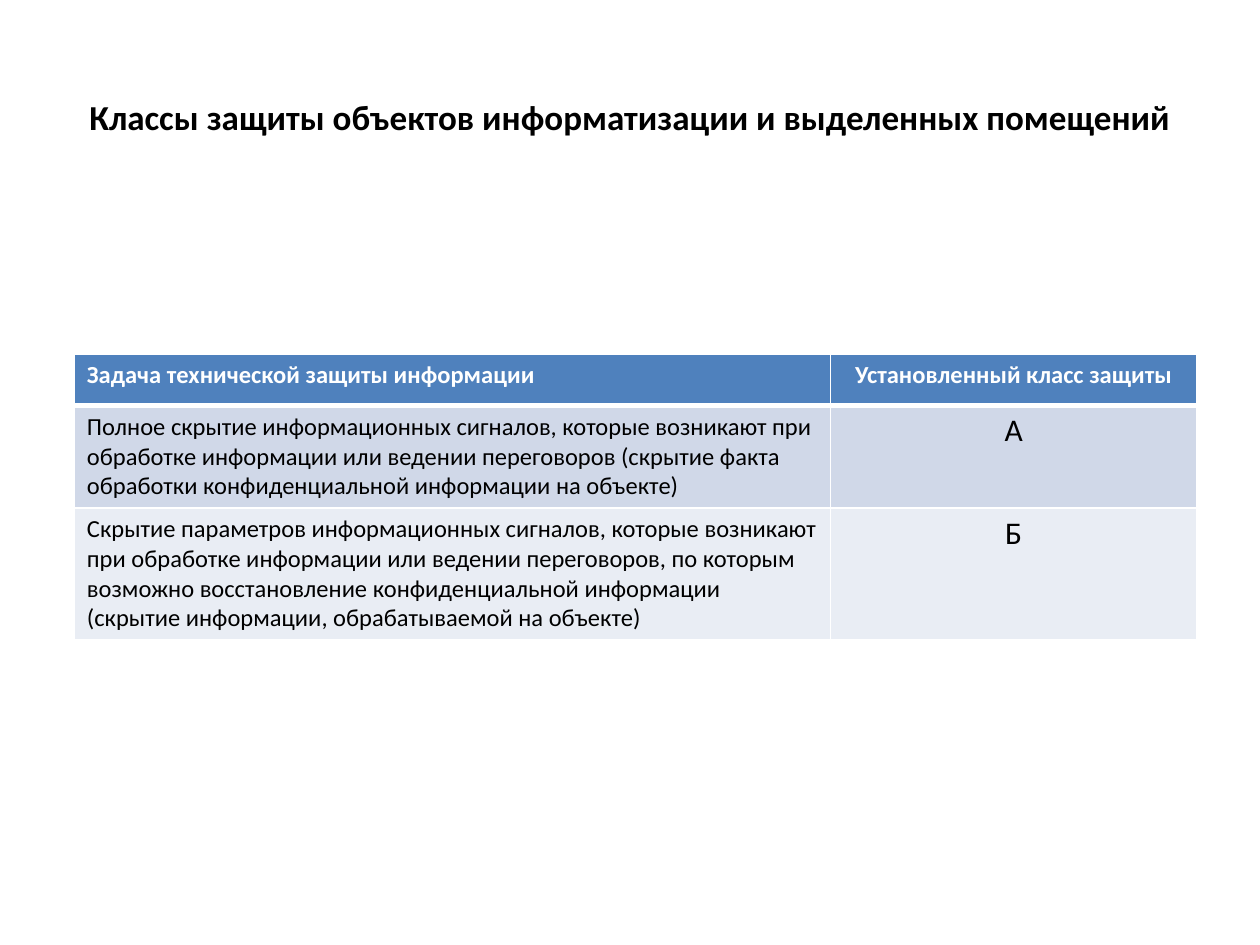
from dataclasses import dataclass

from lxml import etree
from pptx import Presentation
from pptx import util as u
from pptx.dml.color import RGBColor
from pptx.enum import text
from pptx.oxml.ns import qn


@dataclass(frozen=True)
class Theme:
    font: str = "Calibri"
    dark: str = "000000"
    light: str = "FFFFFF"
    head: str = "4F81BD"
    bands: tuple = ("D0D8E8", "E9EDF4")
    title: int = 20
    body: int = 14
    grade: int = 18


@dataclass(frozen=True)
class Row:
    task: str
    grade: str


THEME = Theme()
LEFT, CENTER = text.PP_ALIGN.LEFT, text.PP_ALIGN.CENTER
HEAD = Row("Задача технической защиты информации", "Установленный класс защиты")
ROWS = (
    Row("Полное скрытие информационных сигналов, которые возникают при "
        "обработке информации или ведении переговоров (скрытие факта "
        "обработки конфиденциальной информации на объекте)", "А"),
    Row("Скрытие параметров информационных сигналов, которые возникают "
        "при обработке информации или ведении переговоров, по которым "
        "возможно восстановление конфиденциальной информации "
        "(скрытие информации, обрабатываемой на объекте)", "Б"),
)
WIDTHS = (6, 2.91)
HEIGHT = 0.41


def write(frame, words: str, size: int, color: str, bold: bool, align) -> None:
    para = frame.paragraphs[0]
    para.alignment = align
    run = para.add_run()
    run.text = words
    font = run.font
    font.name, font.size, font.bold = THEME.font, u.Pt(size), bold
    font.color.rgb = RGBColor.from_string(color)


def edge(cell, side: str, width: float) -> None:
    """Draw one cell border; side is L, R, T or B, in that order."""
    props = cell._tc.get_or_add_tcPr()
    line = etree.SubElement(props, qn(f"a:ln{side}"), w=str(u.Pt(width)))
    fill = etree.SubElement(line, qn("a:solidFill"))
    etree.SubElement(fill, qn("a:srgbClr"), val=THEME.light)


def paint(cell, fill: str, top: float, base: float) -> None:
    """Set the borders, then the fill, as the schema orders them."""
    for side, width in zip("LRTB", (1, 1, top, base)):
        edge(cell, side, width)
    cell.fill.solid()
    cell.fill.fore_color.rgb = RGBColor.from_string(fill)


def add_grid(slide) -> None:
    count = len(ROWS) + 1
    grid = slide.shapes.add_table(
        count, len(WIDTHS), u.Inches(0.59), u.Inches(2.81),
        u.Inches(sum(WIDTHS)), u.Inches(HEIGHT * count)).table
    for col, width in zip(grid.columns, WIDTHS):
        col.width = u.Inches(width)
    for index, row in enumerate((HEAD, *ROWS)):
        grid.rows[index].height = u.Inches(HEIGHT)
        first = index == 0
        fill = THEME.head if first else THEME.bands[(index - 1) % 2]
        color = THEME.light if first else THEME.dark
        grade = THEME.body if first else THEME.grade
        parts = ((row.task, THEME.body, LEFT), (row.grade, grade, CENTER))
        for col, (words, size, align) in enumerate(parts):
            cell = grid.cell(index, col)
            paint(cell, fill, 3 if index == 1 else 1, 3 if first else 1)
            write(cell.text_frame, words, size, color, first, align)


def add_title(slide) -> None:
    title = slide.shapes.title
    title.left, title.top = u.Inches(0.5), u.Inches(0.3)
    title.width, title.height = u.Inches(9), u.Inches(1.25)
    frame = title.text_frame
    frame.vertical_anchor = text.MSO_ANCHOR.MIDDLE
    write(frame, "Классы защиты объектов информатизации и выделенных помещений",
          THEME.title, THEME.dark, True, CENTER)


def main() -> None:
    deck = Presentation()
    deck.slide_width, deck.slide_height = u.Inches(10), u.Inches(7.5)
    slide = deck.slides.add_slide(deck.slide_layouts[5])
    add_title(slide)
    add_grid(slide)
    deck.save("out.pptx")


if __name__ == "__main__":
    main()
